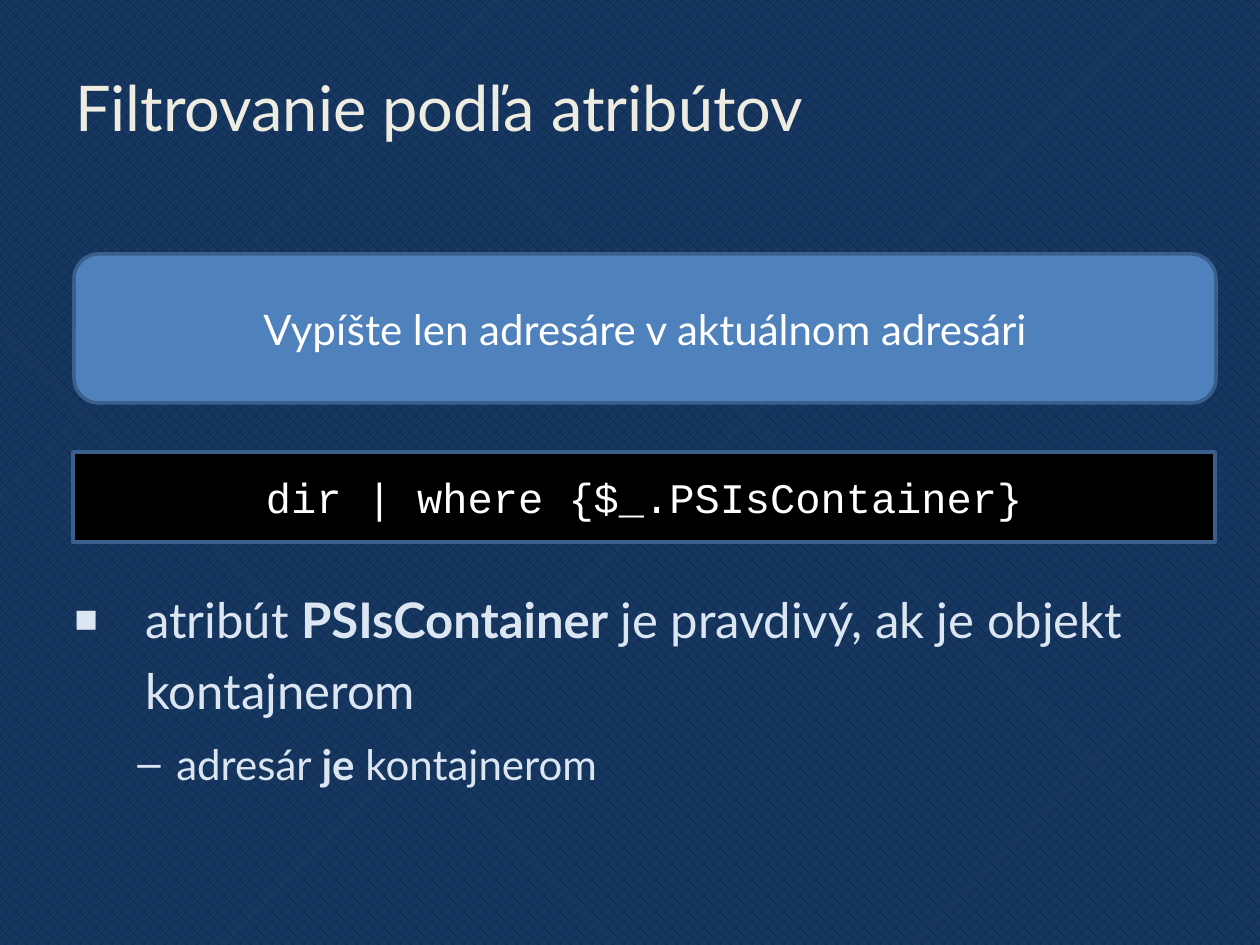
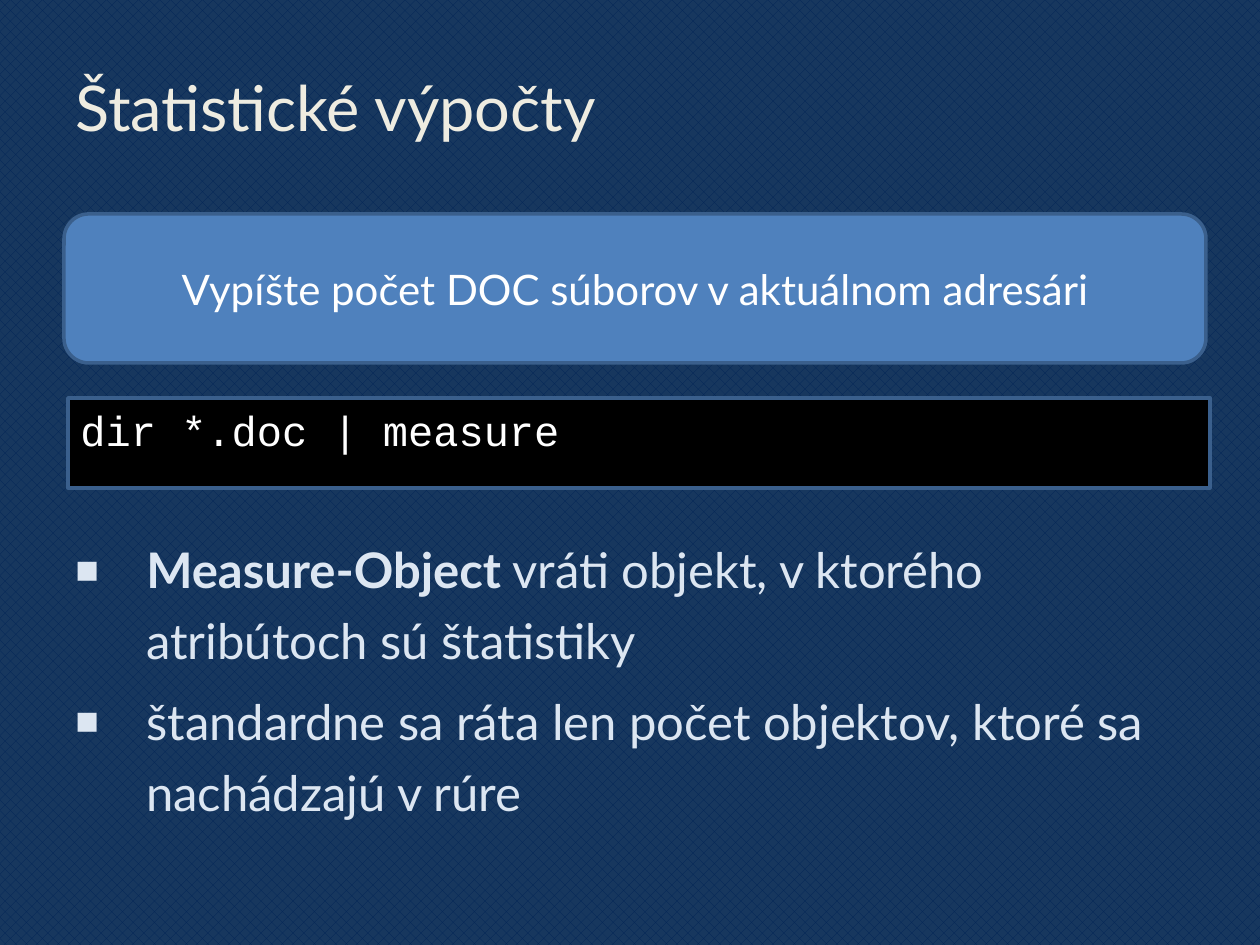
from lxml.etree import SubElement
from pptx import Presentation
from pptx.dml.color import RGBColor
from pptx.enum.dml import MSO_PATTERN
from pptx.enum.shapes import MSO_SHAPE
from pptx.enum.text import MSO_ANCHOR, PP_ALIGN
from pptx.oxml.ns import qn
from pptx.util import Emu, Pt

COLORS = {
    "weave": "012456",
    "navy": "17375E",
    "title": "EEECE1",
    "body": "DCE6F2",
    "task": "4F81BD",
    "edge": "3A5F8C",
    "console": "000000",
    "white": "FFFFFF",
}
SANS, MONO = "Lato", "Courier New"
TITLE_BOX = (63, 38, 1134, 137)
LEVELS = [
    {"size": 28, "before": 6, "left": 71, "hang": 71, "mark": "■", "scale": 80},
    {"size": 24, "before": 5, "left": 102, "hang": 39, "mark": "–", "scale": 100},
]


def px(n):
    """Turn pixels at 126 to the inch into EMU."""
    return Emu(round(n * 914400 / 126))


def rgb(name):
    """Look up a colour of the palette."""
    return RGBColor.from_string(COLORS[name])


def add_run(p, text, size, color, font=SANS, bold=False):
    """Append one formatted run to a paragraph."""
    r = p.add_run()
    r.text = text
    r.font.name, r.font.size, r.font.bold = font, Pt(size), bold
    r.font.color.rgb = rgb(color)


def add_text_frame(s, box, anchor):
    """Add a wrapping text box and return its text frame."""
    tf = s.shapes.add_textbox(*map(px, box)).text_frame
    tf.word_wrap = True
    tf.vertical_anchor = anchor
    return tf


def add_title(s, text):
    """Place the slide title."""
    tf = add_text_frame(s, TITLE_BOX, MSO_ANCHOR.MIDDLE)
    add_run(tf.paragraphs[0], text, 36, "title")


def add_panel(s, kind, box, text, fill, font, align, anchor):
    """Draw an outlined panel with one line of text."""
    sp = s.shapes.add_shape(kind, *map(px, box))
    sp.shadow.inherit = False
    sp.fill.solid()
    sp.fill.fore_color.rgb = rgb(fill)
    sp.line.color.rgb = rgb("edge")
    sp.line.width = Pt(2)
    tf = sp.text_frame
    tf.word_wrap = True
    tf.vertical_anchor = anchor
    p = tf.paragraphs[0]
    p.alignment = align
    add_run(p, text, 24, "white", font)


def add_task(s, left, top, text):
    """Place the rounded panel that states the task."""
    add_panel(s, MSO_SHAPE.ROUNDED_RECTANGLE, (left, top, 1142, 149), text,
              "task", SANS, PP_ALIGN.CENTER, MSO_ANCHOR.MIDDLE)


def add_console(s, left, top, code, align=PP_ALIGN.LEFT, anchor=MSO_ANCHOR.TOP):
    """Place the black panel that shows a command."""
    add_panel(s, MSO_SHAPE.RECTANGLE, (left, top, 1142, 90), code,
              "console", MONO, align, anchor)


def set_bullet(p, level):
    """Give a paragraph the indent and mark of its level."""
    pPr = p._p.get_or_add_pPr()
    pPr.set("marL", str(px(level["left"])))
    pPr.set("indent", str(px(-level["hang"])))
    clr = SubElement(pPr, qn("a:buClr"))
    SubElement(clr, qn("a:srgbClr"), val=COLORS["body"])
    SubElement(pPr, qn("a:buSzPct"), val=str(level["scale"] * 1000))
    SubElement(pPr, qn("a:buFont"), typeface="Arial")
    SubElement(pPr, qn("a:buChar"), char=level["mark"])


def add_bullets(s, box, items):
    """Write bullets, each a depth and a list of (text, bold) runs."""
    tf = add_text_frame(s, box, MSO_ANCHOR.TOP)
    for i, (depth, runs) in enumerate(items):
        p = tf.paragraphs[0] if i == 0 else tf.add_paragraph()
        level = LEVELS[depth]
        set_bullet(p, level)
        p.level = depth
        p.line_spacing = 1.2
        p.space_before = Pt(level["before"] if i else 0)
        for text, bold in runs:
            add_run(p, text, level["size"], "body", bold=bold)


def add_slide(prs, title):
    """Add a slide with the woven background and a title."""
    s = prs.slides.add_slide(prs.slide_layouts[6])
    fill = s.background.fill
    fill.patterned()
    fill.pattern = MSO_PATTERN.from_xml("pct40")
    fill.fore_color.rgb = rgb("weave")
    fill.back_color.rgb = rgb("navy")
    add_title(s, title)
    return s


def build_filter_slide(prs):
    """Build the slide on filtering by attributes."""
    s = add_slide(prs, "Filtrovanie podľa atribútov")
    add_bullets(s, (62, 572, 1134, 566), [
        (0, [("atribút ", False), ("PSIsContainer", True),
             (" je pravdivý, ak je objekt kontajnerom", False)]),
        (1, [("adresár ", False), ("je", True), (" kontajnerom", False)]),
    ])
    add_console(s, 73, 452, "dir | where {$_.PSIsContainer}",
                PP_ALIGN.CENTER, MSO_ANCHOR.MIDDLE)
    add_task(s, 74, 254, "Vypíšte len adresáre v aktuálnom adresári")


def build_statistics_slide(prs):
    """Build the slide on statistical calculations."""
    s = add_slide(prs, "Štatistické výpočty")
    add_bullets(s, (63, 522, 1134, 323), [
        (0, [("Measure-Object", True),
             (" vráti objekt, v ktorého atribútoch sú štatistiky", False)]),
        (0, [("štandardne sa ráta len počet objektov, ktoré sa nachádzajú v rúre",
              False)]),
    ])
    add_task(s, 64, 214, "Vypíšte počet DOC súborov v aktuálnom adresári")
    add_console(s, 68, 398, "dir *.doc | measure")


def main():
    """Build and save the presentation."""
    prs = Presentation()
    prs.slide_width, prs.slide_height = px(1260), px(945)
    build_filter_slide(prs)
    build_statistics_slide(prs)
    prs.save("out.pptx")


if __name__ == "__main__":
    main()
